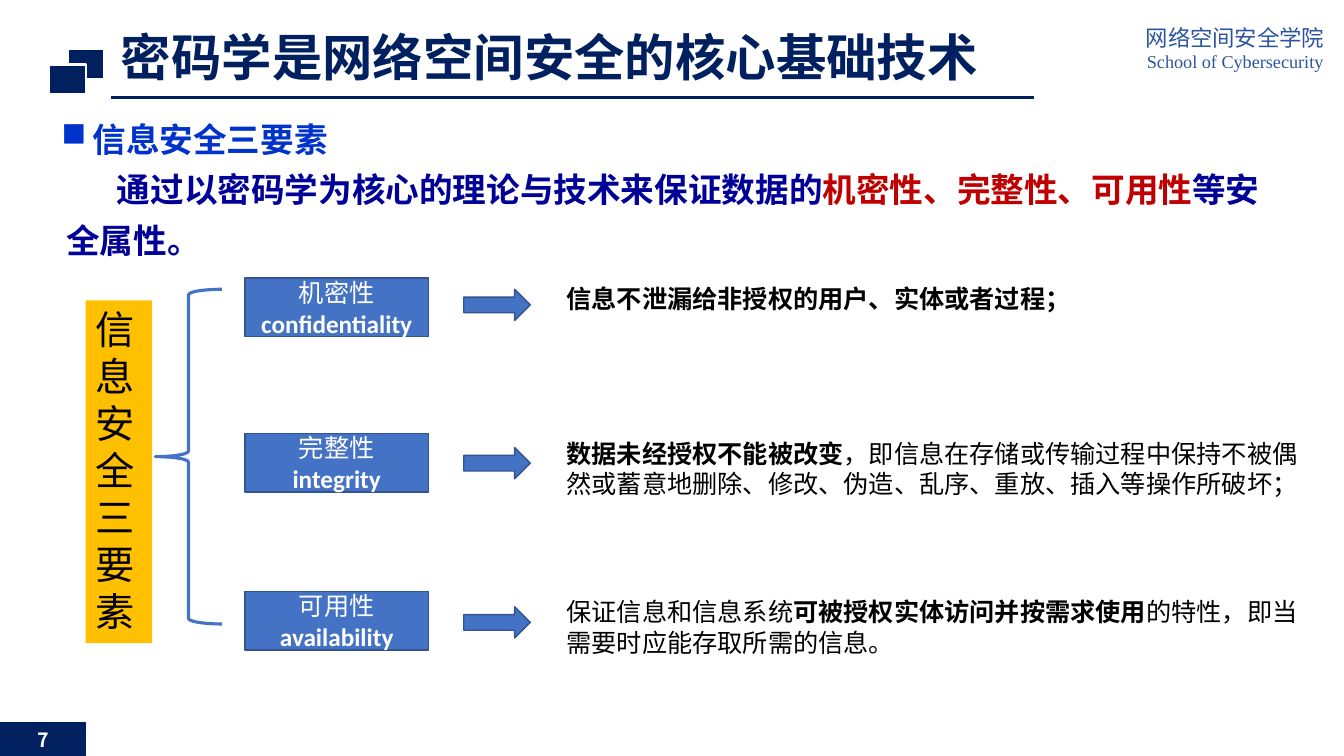
from lxml import etree
from pptx import Presentation
from pptx import util as u
from pptx.dml.color import RGBColor
from pptx.enum import shapes, text
from pptx.oxml import ns

PX = 9144
NAVY = RGBColor(0x01, 0x20, 0x60)
WHITE = RGBColor(0xFF, 0xFF, 0xFF)
BLACK = RGBColor(0, 0, 0)
SCHOOL_BLUE = RGBColor(0x2C, 0x55, 0xA0)
HEADING_BLUE = RGBColor(0x00, 0x33, 0xCC)
BODY_BLUE = RGBColor(0x00, 0x00, 0x99)
RED = RGBColor(0xC0, 0, 0)
GOLD = RGBColor(0xFF, 0xC0, 0)
BLUE = RGBColor(0x44, 0x72, 0xC4)
EDGE = RGBColor(0x32, 0x54, 0x91)
CJK = "Noto Sans CJK SC"
SERIF = "Times New Roman"
SANS = "Calibri"
SHAPE = shapes.MSO_SHAPE
CENTER = text.PP_ALIGN.CENTER

PROPERTIES = [
    (276, 287, "机密性", "confidentiality",
     [("信息不泄漏给非授权的用户、实体或者过程；", True)]),
    (430, 444, "完整性", "integrity",
     [("数据未经授权不能被改变", True),
      ("，即信息在存储或传输过程中保持不被偶然或蓄意地删除、修改、伪造、乱序、重放、插入等操作所破坏；", False)]),
    (587, 602, "可用性", "availability",
     [("保证信息和信息系统", False), ("可被授权实体访问并按需求使用", True),
      ("的特性，即当需要时应能存取所需的信息。", False)]),
]


def px(*lengths):
    """Turn pixel lengths into EMU."""
    return [u.Emu(length * PX) for length in lengths]


def add_box(slide, kind, box, fill=None, line=None, width=1):
    """Add a preset shape with the given fill and line."""
    shape = slide.shapes.add_shape(kind, *px(*box))
    shape.shadow.inherit = False
    if fill is None:
        shape.fill.background()
    else:
        shape.fill.solid()
        shape.fill.fore_color.rgb = fill
    if line is None:
        shape.line.fill.background()
    else:
        shape.line.color.rgb = line
        shape.line.width = u.Pt(width)
    return shape


def add_text_frame(slide, box):
    """Add a wrapping text box and return its frame."""
    frame = slide.shapes.add_textbox(*px(*box)).text_frame
    frame.word_wrap = True
    return frame


def write(paragraph, runs, size, name, color, bold=None, spacing=None,
          align=text.PP_ALIGN.LEFT):
    """Write (text, bold, colour) runs and set the paragraph's look."""
    for words, run_bold, run_color in runs:
        run = paragraph.add_run()
        run.text = words
        if run_bold is not None:
            run.font.bold = run_bold
        if run_color is not None:
            run.font.color.rgb = run_color
    paragraph.alignment = align
    if spacing:
        paragraph.line_spacing = spacing
    font = paragraph.font
    font.size = u.Pt(size)
    font.name = name
    font.bold = bold
    font.color.rgb = color
    defaults = paragraph._p.pPr.find(ns.qn("a:defRPr"))
    etree.SubElement(defaults, ns.qn("a:ea")).set("typeface", CJK)


def indent(paragraph, margin, first):
    """Set the left margin and first-line indent in pixels."""
    properties = paragraph._p.get_or_add_pPr()
    properties.set("marL", str(margin * PX))
    properties.set("indent", str(first * PX))
    return properties


def add_header(slide, left, top, width, height):
    """Draw the title with its squares, underline and school name."""
    for x, y in ((-43, 21), (-61, 36)):
        add_box(slide, SHAPE.RECTANGLE, (left + x, top + y, 36, 29), NAVY, WHITE, 1.5)
    rule = slide.shapes.add_connector(
        shapes.MSO_CONNECTOR.STRAIGHT, *px(left, top + 69, left + width, top + 69))
    rule.line.color.rgb = NAVY
    rule.line.width = u.Pt(2.25)
    etree.SubElement(rule._element.spPr, ns.qn("a:effectLst"))
    title = add_text_frame(slide, (left, top, width, height))
    write(title.paragraphs[0], [("密码学是网络空间安全的核心基础技术", None, None)],
          36, CJK, NAVY, True, 0.9)
    school = add_text_frame(slide, (left + 1007, top - 10, 216, 61))
    write(school.paragraphs[0], [("网络空间安全学院", None, None)],
          16, SERIF, SCHOOL_BLUE, spacing=u.Pt(20), align=CENTER)
    write(school.add_paragraph(), [("School of Cybersecurity", None, None)],
          13, SERIF, SCHOOL_BLUE, spacing=u.Pt(15), align=CENTER)


def add_introduction(slide, left, top, width, height):
    """Write the bulleted heading and the statement below it."""
    heading = add_text_frame(slide, (left + 9, top, width, 40)).paragraphs[0]
    properties = indent(heading, 31, -31)
    bullet_color = etree.SubElement(properties, ns.qn("a:buClr"))
    etree.SubElement(bullet_color, ns.qn("a:srgbClr")).set("val", str(HEADING_BLUE))
    etree.SubElement(properties, ns.qn("a:buChar")).set("char", "■")
    write(heading, [("信息安全三要素", None, None)], 24, CJK, HEADING_BLUE, True, u.Pt(28))
    statement = add_text_frame(slide, (left, top + 39, width, height - 39)).paragraphs[0]
    indent(statement, 14, 50)
    write(statement, [("通过以密码学为核心的理论与技术来保证数据的", None, None),
                      ("机密性、完整性、可用性", None, RED),
                      ("等安全属性。", None, None)],
          24, SERIF, BODY_BLUE, True, u.Pt(36))


def add_root(slide, left, top, width, height):
    """Draw the upright label and the brace beside it."""
    label = add_box(slide, SHAPE.RECTANGLE, (left, top, width, height), GOLD)
    label.text_frame.word_wrap = True
    label.text_frame.vertical_anchor = text.MSO_ANCHOR.TOP
    write(label.text_frame.paragraphs[0], [("信息安全三要素", None, None)],
          28, CJK, BLACK, spacing=u.Pt(33.6))
    add_box(slide, SHAPE.LEFT_BRACE, (left + 69, top - 11, 66, 332), None, BLUE, 2.25)


def add_property(slide, left, top, arrow_top, chinese, english, description):
    """Draw one property box, its arrow and its description."""
    box = add_box(slide, SHAPE.RECTANGLE, (left, top, 182, 58), BLUE, EDGE)
    frame = box.text_frame
    frame.word_wrap = True
    frame.margin_top = frame.margin_bottom = 0
    frame.vertical_anchor = text.MSO_ANCHOR.MIDDLE
    write(frame.paragraphs[0], [(chinese, None, None)],
          18, SANS, WHITE, spacing=u.Pt(22), align=CENTER)
    write(frame.add_paragraph(), [(english, None, None)],
          18, SANS, WHITE, True, u.Pt(22), CENTER)
    add_box(slide, SHAPE.RIGHT_ARROW, (left + 217, arrow_top, 66, 31), BLUE, EDGE)
    details = add_text_frame(slide, (left + 309, top, 764, 71))
    write(details.paragraphs[0], [(words, bold, None) for words, bold in description],
          18, SANS, BLACK, spacing=u.Pt(21.6))


def add_page_number(slide, left, top, width, height):
    """Draw the page number block."""
    block = add_box(slide, SHAPE.RECTANGLE, (left, top, width, height), NAVY, NAVY, 0.75)
    block.text_frame.margin_top = block.text_frame.margin_bottom = 0
    block.text_frame.vertical_anchor = text.MSO_ANCHOR.MIDDLE
    write(block.text_frame.paragraphs[0], [("7", None, None)],
          14, CJK, WHITE, True, align=CENTER)


def main():
    """Build and save the slide."""
    presentation = Presentation()
    presentation.slide_width, presentation.slide_height = px(1333, 750)
    slide = presentation.slides.add_slide(presentation.slide_layouts[6])
    add_header(slide, 110, 28, 916, 59)
    add_introduction(slide, 42, 114, 1249, 145)
    add_root(slide, 85, 298, 66, 340)
    for top, arrow_top, chinese, english, description in PROPERTIES:
        add_property(slide, 243, top, arrow_top, chinese, english, description)
    add_page_number(slide, 0, 717, 85, 33)
    presentation.save("out.pptx")


if __name__ == "__main__":
    main()
